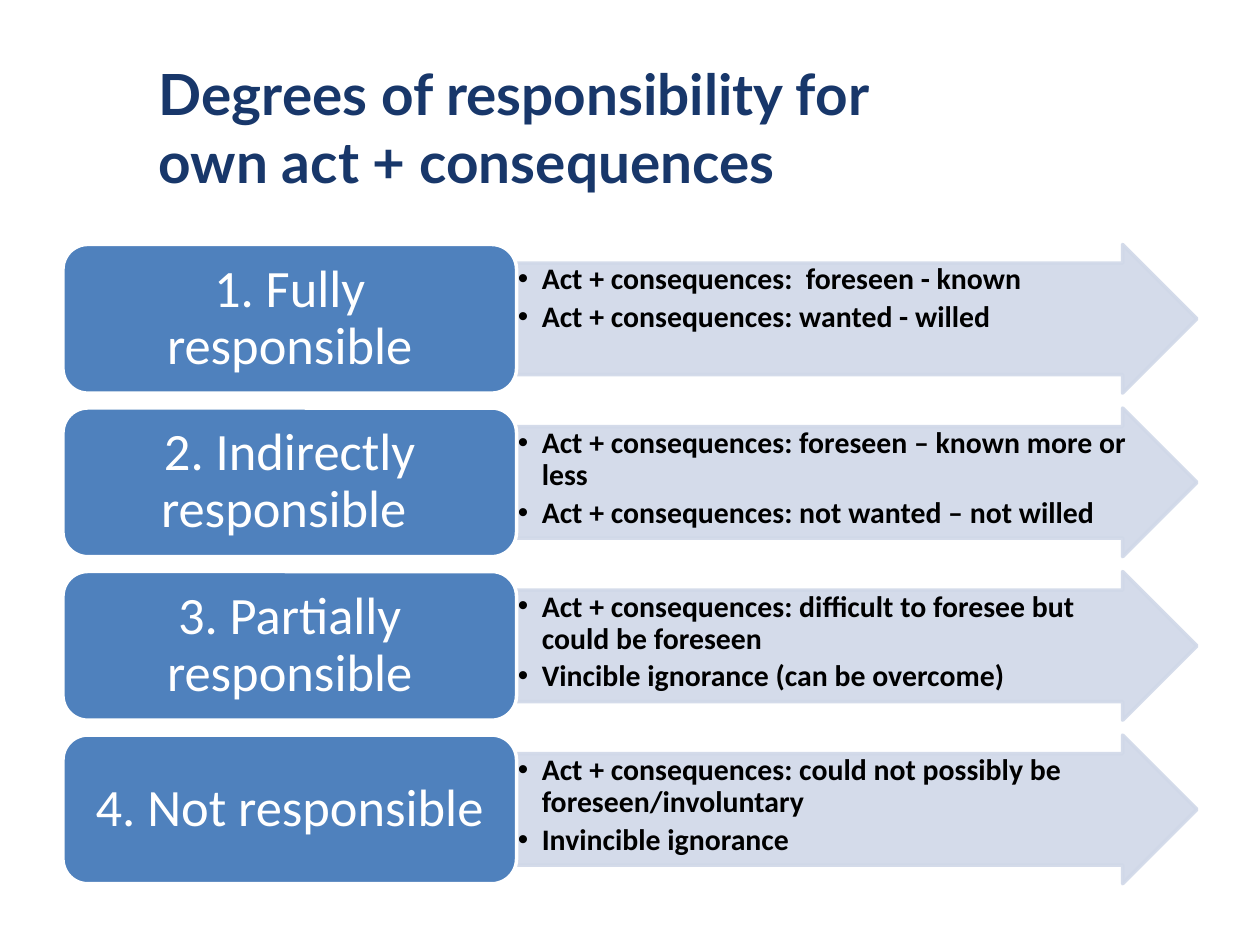
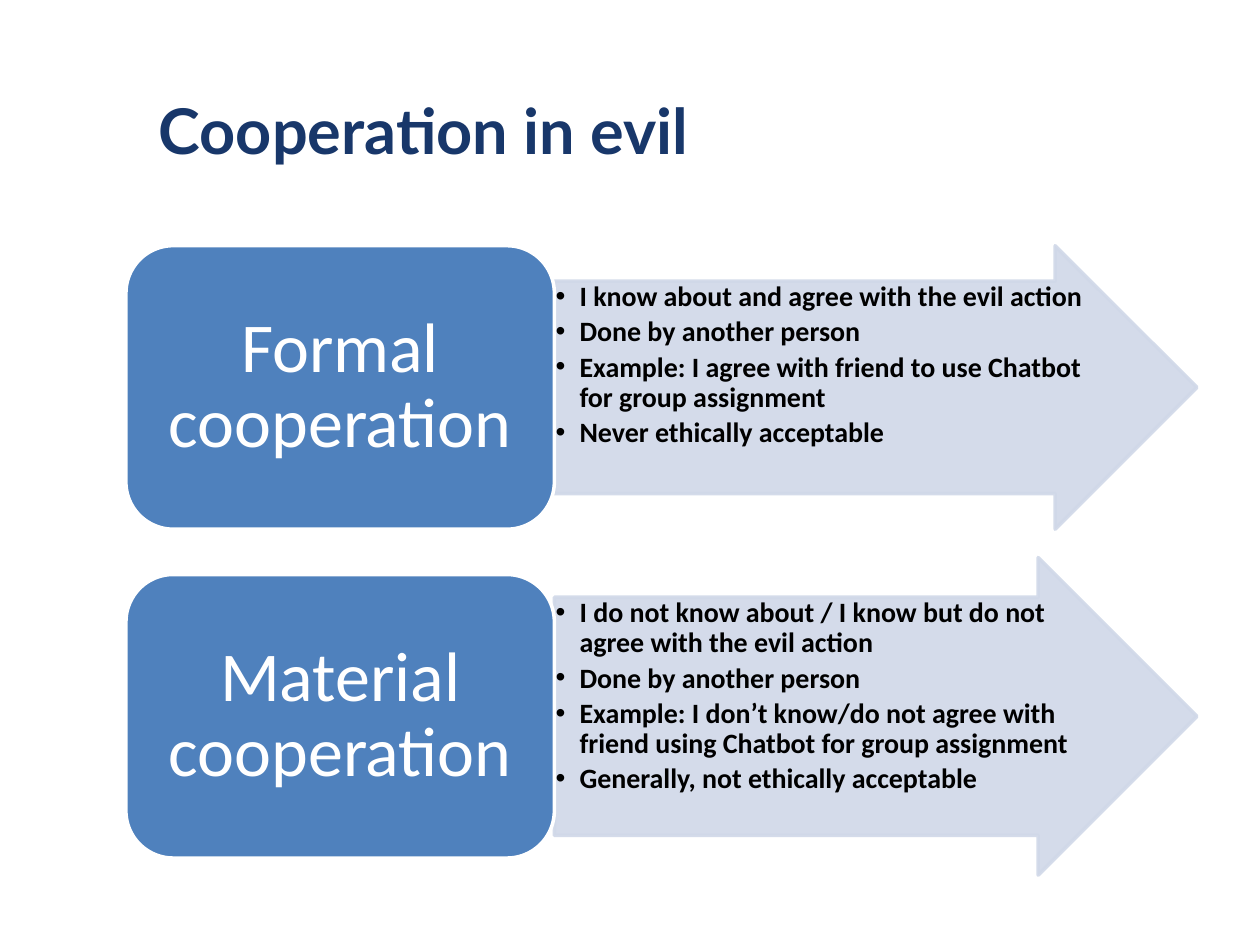
"""Build two slides of labelled arrows on responsibility and cooperation."""
from dataclasses import dataclass

from lxml import etree
from pptx import Presentation
from pptx.dml.color import RGBColor
from pptx.enum.shapes import MSO_SHAPE
from pptx.enum.text import MSO_ANCHOR, MSO_AUTO_SIZE, PP_ALIGN
from pptx.oxml.ns import qn
from pptx.util import Inches, Pt

ARROW, ROUND = MSO_SHAPE.RIGHT_ARROW, MSO_SHAPE.ROUNDED_RECTANGLE
TOP, MIDDLE = MSO_ANCHOR.TOP, MSO_ANCHOR.MIDDLE
LEFT, CENTER = PP_ALIGN.LEFT, PP_ALIGN.CENTER
FIXED = MSO_AUTO_SIZE.NONE

NAVY, BLUE, PALE, WHITE, BLACK = "18376A", "4F81BD", "D0D8E8", "FFFFFF", "000000"
RIGHT = 9.5
INDENT = 0.19


@dataclass
class Row:
    """A label, the height of its arrow and the points on it."""
    label: str
    height: float
    points: list[str]


@dataclass
class Page:
    """The title, measures and rows of one slide."""
    title: str
    place: tuple[float, float, float, float]
    size: float
    left: float
    top: float
    width: float
    box: float
    label: int
    point: int
    rows: list[Row]


PAGES = [
    Page("Degrees of responsibility for own act + consequences",
         (1.16, 0.4, 6.45, 1.21), 32.4, 0.5, 1.94, 3.6, 1.18, 30, 17, [
             Row("1. Fully responsible", 1.18, [
                 "Act + consequences:  foreseen - known",
                 "Act + consequences: wanted - willed"]),
             Row("2. Indirectly responsible ", 1.18, [
                 "Act + consequences: foreseen – known more or less",
                 "Act + consequences: not wanted – not willed"]),
             Row("3. Partially responsible", 1.18, [
                 "Act + consequences: difficult to foresee but could be foreseen",
                 "Vincible ignorance (can be overcome)"]),
             Row("4. Not responsible", 1.18, [
                 "Act + consequences: could not possibly be foreseen/involuntary",
                 "Invincible ignorance"])]),
    Page("Cooperation in evil",
         (1.16, 0.6, 5.89, 0.86), 36, 1, 1.95, 3.4, 2.25, 40, 16, [
             Row("Formal cooperation", 2.25, [
                 "I know about and agree with the evil action",
                 "Done by another person",
                 "Example: I agree with friend to use Chatbot for group assignment",
                 "Never ethically acceptable"]),
             Row("Material cooperation", 2.52, [
                 "I do not know about / I know but do not agree with the evil action",
                 "Done by another person",
                 "Example: I don’t know/do not agree with friend using Chatbot"
                 " for group assignment",
                 "Generally, not ethically acceptable"])]),
]


def paint(code: str) -> RGBColor:
    """Turn a hex string into a colour."""
    return RGBColor.from_string(code)


def apply(target, values: dict) -> None:
    """Set each named value on the target."""
    for name, value in values.items():
        setattr(target, name, value)


def style(par, name: str, size: float, code: str, bold: bool) -> None:
    """Format the font of a paragraph."""
    apply(par.font, {"name": name, "size": Pt(size), "bold": bold})
    par.font.color.rgb = paint(code)


def frame(shape, anchor, side: float, edge: float):
    """Prepare the text frame of a shape and return it."""
    text = shape.text_frame
    apply(text, {"word_wrap": True, "auto_size": FIXED, "vertical_anchor": anchor,
                 "margin_left": Inches(side), "margin_right": Inches(side),
                 "margin_top": Inches(edge), "margin_bottom": Inches(edge)})
    return text


def block(slide, kind, place: tuple, fill: str, line: str):
    """Add a filled and outlined shape without a shadow."""
    shape = slide.shapes.add_shape(kind, *(Inches(n) for n in place))
    shape.shadow.inherit = False
    shape.fill.solid()
    shape.fill.fore_color.rgb = paint(fill)
    shape.line.color.rgb = paint(line)
    shape.line.width = Pt(2)
    return shape


def fade(shape, share: int) -> None:
    """Give the fill and line of a shape an opacity in percent."""
    for color in shape._element.spPr.iter(qn("a:srgbClr")):
        etree.SubElement(color, qn("a:alpha"), val=str(share * 1000))


def bullet(par) -> None:
    """Give a paragraph a hanging bullet."""
    props = par._p.get_or_add_pPr()
    props.set("marL", str(Inches(INDENT)))
    props.set("indent", str(-Inches(INDENT)))
    etree.SubElement(props, qn("a:buFont"), typeface="Arial")
    etree.SubElement(props, qn("a:buChar"), char="•")


def arrow(slide, place: tuple, points: list[str], size: int) -> None:
    """Draw a pale arrow holding a bullet list."""
    shape = block(slide, ARROW, place, PALE, PALE)
    shape.adjustments[0], shape.adjustments[1] = 0.75, 0.5
    fade(shape, 90)
    text = frame(shape, TOP, 0.01, 0.01)
    for index, point in enumerate(points):
        par = text.add_paragraph() if index else text.paragraphs[0]
        par.text = point
        bullet(par)
        apply(par, {"alignment": LEFT, "line_spacing": 0.9,
                    "space_after": Pt(round(size * 0.18, 1))})
        style(par, "Calibri", size, BLACK, True)


def label(slide, place: tuple, words: str, size: int) -> None:
    """Draw a blue box holding a label."""
    shape = block(slide, ROUND, place, BLUE, WHITE)
    par = frame(shape, MIDDLE, size / 240, size / 480).paragraphs[0]
    par.text = words
    apply(par, {"alignment": CENTER, "line_spacing": 0.9})
    style(par, "Calibri", size, WHITE, False)


def head(slide, page: Page) -> None:
    """Place and format the title."""
    title = slide.shapes.title
    names = ("left", "top", "width", "height")
    apply(title, dict(zip(names, map(Inches, page.place))))
    par = frame(title, MIDDLE, 0.1, 0.05).paragraphs[0]
    par.text = page.title
    par.alignment = LEFT
    style(par, "Lato", page.size, NAVY, True)


def draw(deck, page: Page) -> None:
    """Add one slide and stack its rows."""
    slide = deck.slides.add_slide(deck.slide_layouts[5])
    head(slide, page)
    start, top = page.left + page.width, page.top
    for row in page.rows:
        arrow(slide, (start, top, RIGHT - start, row.height), row.points, page.point)
        inset = (row.height - page.box) / 2
        label(slide, (page.left, top + inset, page.width, page.box),
              row.label, page.label)
        top += row.height + page.box / 10


def main() -> None:
    """Build and save the deck."""
    deck = Presentation()
    deck.slide_width, deck.slide_height = Inches(10), Inches(7.5)
    for page in PAGES:
        draw(deck, page)
    deck.save("out.pptx")


if __name__ == "__main__":
    main()
